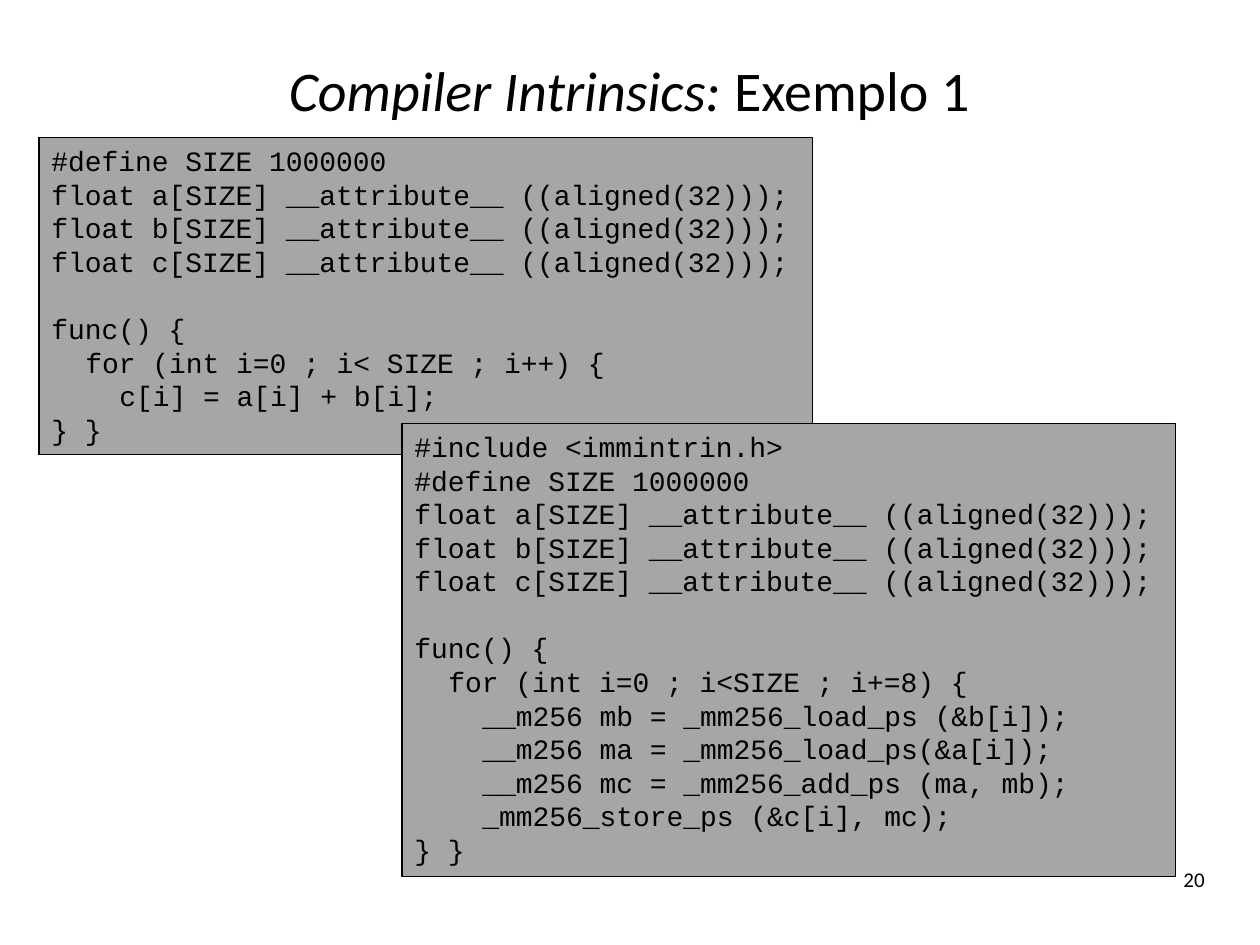
from pptx import Presentation
from pptx.dml.color import RGBColor
from pptx.enum.shapes import MSO_SHAPE
from pptx.enum.text import MSO_ANCHOR, PP_ALIGN
from pptx.util import Inches, Pt

RECT = MSO_SHAPE.RECTANGLE
TOP, MIDDLE = MSO_ANCHOR.TOP, MSO_ANCHOR.MIDDLE
LEFT, CENTER, RIGHT = PP_ALIGN.LEFT, PP_ALIGN.CENTER, PP_ALIGN.RIGHT

BLACK, GRAY = "000000", "A6A6A6"
SIZE = 16
PITCH = 19.2  # line pitch in points
STEP = Inches(0.27)  # width of two code characters

ARRAYS = ["#define SIZE 1000000"] + [
    f"float {name}[SIZE] __attribute__ ((aligned(32)));" for name in "abc"
]

# Function bodies: (indent level, code)
SCALAR = [
    (0, "func() {"),
    (1, "for (int i=0 ; i< SIZE ; i++) {"),
    (2, "c[i] = a[i] + b[i];"),
    (0, "} }"),
]
VECTOR = [
    (0, "func() {"),
    (1, "for (int i=0 ; i<SIZE ; i+=8) {"),
    (2, "__m256 mb = _mm256_load_ps (&b[i]);"),
    (2, "__m256 ma = _mm256_load_ps(&a[i]);"),
    (2, "__m256 mc = _mm256_add_ps (ma, mb);"),
    (2, "_mm256_store_ps (&c[i], mc);"),
    (0, "} }"),
]


def color(code):
    return RGBColor.from_string(code)


def set_font(par, name, size):
    par.font.name = name
    par.font.size = Pt(size)
    par.font.color.rgb = color(BLACK)


def add_label(slide, box, runs, size, align, anchor):
    """Add a one-line text box; runs are (text, italic) pairs."""
    frame = slide.shapes.add_textbox(*map(Inches, box)).text_frame
    frame.word_wrap = True
    frame.vertical_anchor = anchor
    par = frame.paragraphs[0]
    par.alignment = align
    set_font(par, "Calibri", size)
    for text, italic in runs:
        run = par.add_run()
        run.text = text
        run.font.italic = italic


def add_code(slide, box, head, body):
    """Add a code panel with a one-line gap between head and body."""
    panel = slide.shapes.add_shape(RECT, *map(Inches, box))
    panel.shadow.inherit = False
    panel.fill.solid()
    panel.fill.fore_color.rgb = color(GRAY)
    panel.line.color.rgb = color(BLACK)
    panel.line.width = Pt(0.75)

    frame = panel.text_frame
    frame.word_wrap = False
    frame.vertical_anchor = TOP
    lines = [(0, text) for text in head] + body
    for row, (level, text) in enumerate(lines):
        par = frame.add_paragraph() if row else frame.paragraphs[0]
        par.text = text
        par.alignment = LEFT
        par.line_spacing = Pt(PITCH)
        set_font(par, "Courier New", SIZE)
        if level:
            par._p.get_or_add_pPr().set("marL", str(level * STEP))
        if row == len(head):
            par.space_before = Pt(PITCH)


def main():
    deck = Presentation()
    deck.slide_width, deck.slide_height = Inches(10), Inches(7.5)
    slide = deck.slides.add_slide(deck.slide_layouts[6])

    # Title and page number
    title = [("Compiler Intrinsics: ", True), ("Exemplo 1", False)]
    add_label(slide, (0.33, 0.25, 9.33, 0.92), title, 32, CENTER, MIDDLE)
    add_label(slide, (8.33, 6.83, 1.33, 0.5), [("20", False)], 12, RIGHT, TOP)

    # Scalar code, then its vector version
    add_code(slide, (0.31, 1.09, 6.14, 2.52), ARRAYS, SCALAR)
    include = ["#include <immintrin.h>"]
    add_code(slide, (3.19, 3.36, 6.14, 3.6), include + ARRAYS, VECTOR)

    deck.save("out.pptx")


if __name__ == "__main__":
    main()
